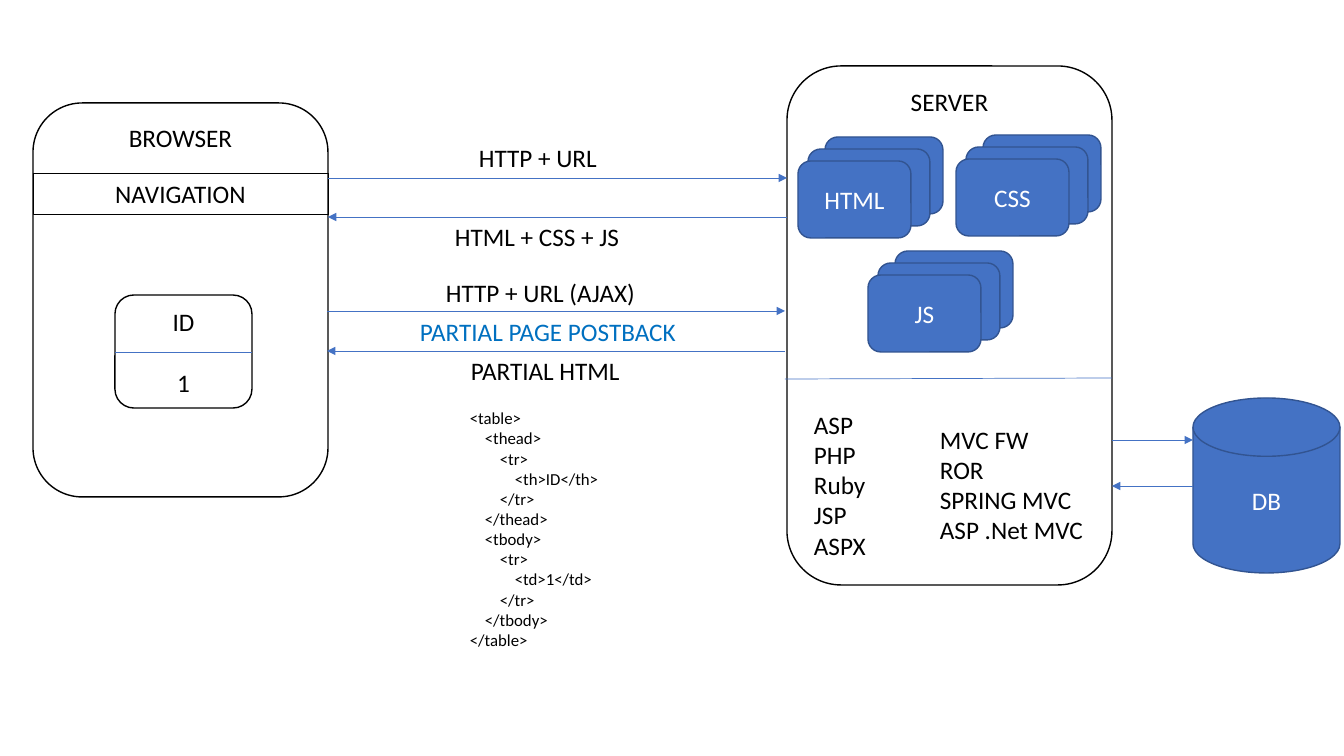
import pptx
import pptx.dml.color
import pptx.enum.shapes
import pptx.enum.text
import pptx.oxml.ns
import pptx.util
from dataclasses import dataclass
from lxml import etree

KIND = pptx.enum.shapes.MSO_SHAPE
ALIGN = pptx.enum.text.PP_ALIGN
ANCHOR = pptx.enum.text.MSO_ANCHOR


@dataclass(frozen=True)
class Theme:
    font: str = "Calibri"
    body: int = 18
    code: int = 12
    ink: str = "000000"
    paper: str = "FFFFFF"
    blue: str = "4472C4"
    edge: str = "325491"
    note: str = "0070C0"
    thick: float = 1
    thin: float = 0.5


THEME = Theme()
SCALE = 914400 / 100.8  # EMU in one px
SIZE = (1344, 756)

# Boxes are left, top, width, height
SERVER = (787, 66, 325, 519)
BROWSER = (33, 103, 295, 394)
NAV = (33, 173, 295, 41)
TABLE = (115, 295, 137, 113)
DISK = (1193, 398, 147, 175)

# Front card of each stack: name, left, top
STACKS = [("HTML", 798, 161), ("CSS", 956, 159), ("JS", 868, 275)]
# Cards from back to front: shift right, shift up, width
CARDS = [(27, 24, 118), (10, 12, 122), (0, 0, 113)]
CARD_H = 77

# Arrows: from x, to x, y
ARROWS = [
    (328, 787, 178), (787, 328, 217),
    (327, 785, 311), (785, 327, 351),
    (1112, 1193, 440), (1193, 1112, 486),
]
# Dividers: from x, from y, to x, to y
RULES = [(785, 379, 1112, 378), (115, 352, 252, 352)]

# Labels: box, lines, colour
LABELS = [
    ((469, 137, 140, 40), ["HTTP + URL"], THEME.ink),
    ((445, 216, 186, 40), ["HTML + CSS + JS"], THEME.ink),
    ((436, 272, 212, 40), ["HTTP + URL (AJAX)"], THEME.ink),
    ((461, 350, 170, 40), ["PARTIAL HTML"], THEME.ink),
    ((410, 311, 278, 40), ["PARTIAL PAGE POSTBACK"], THEME.note),
    ((804, 404, 81, 163), ["ASP", "PHP", "Ruby", "JSP", "ASPX"], THEME.ink),
    ((930, 419, 165, 132),
     ["MVC FW", "ROR", "SPRING MVC", "ASP .Net MVC"], THEME.ink),
]

CODE_BOX = (445, 403, 170, 275)
INDENT = 15
# Code: depth, text
CODE = [
    (1, "<table>"), (2, "<thead>"), (3, "<tr>"), (4, "<th>ID</th>"),
    (3, "</tr>"), (2, "</thead>"), (2, "<tbody>"), (3, "<tr>"),
    (4, "<td>1</td>"), (3, "</tr>"), (2, "</tbody>"), (1, "</table>"),
]


def emu(*nums):
    return [round(n * SCALE) for n in nums]


def rgb(code):
    return pptx.dml.color.RGBColor.from_string(code)


def write(frame, lines, color, size=THEME.body, align=ALIGN.LEFT):
    """Fill a text frame, one paragraph a line, and return the paragraphs."""
    paras = []
    for i, line in enumerate(lines):
        para = frame.add_paragraph() if i else frame.paragraphs[0]
        para.alignment = align
        run = para.add_run()
        run.text = line
        run.font.name = THEME.font
        run.font.size = pptx.util.Pt(size)
        run.font.color.rgb = rgb(color)
        paras.append(para)
    return paras


def block(shapes, kind, box, fill, edge, lines=(), color=THEME.ink,
          anchor=ANCHOR.MIDDLE, width=THEME.thick):
    """Draw a preset shape with centred text; return shape and paragraphs."""
    shape = shapes.add_shape(kind, *emu(*box))
    shape.shadow.inherit = False
    if fill:
        shape.fill.solid()
        shape.fill.fore_color.rgb = rgb(fill)
    else:
        shape.fill.background()
    shape.line.color.rgb = rgb(edge)
    shape.line.width = pptx.util.Pt(width)
    shape.text_frame.vertical_anchor = anchor
    return shape, write(shape.text_frame, lines, color, align=ALIGN.CENTER)


def label(shapes, box, wrap=False):
    frame = shapes.add_textbox(*emu(*box)).text_frame
    frame.word_wrap = wrap
    return frame


def link(shapes, ends, arrow=False):
    line = shapes.add_connector(
        pptx.enum.shapes.MSO_CONNECTOR.STRAIGHT, *emu(*ends))
    line.line.color.rgb = rgb(THEME.blue)
    line.line.width = pptx.util.Pt(THEME.thin)
    props = line._element.spPr
    if arrow:
        tip = etree.SubElement(line.line._get_or_add_ln(),
                               pptx.oxml.ns.qn("a:tailEnd"))
        tip.set("type", "triangle")
    etree.SubElement(props, pptx.oxml.ns.qn("a:effectLst"))


def stack(shapes, name, left, top):
    group = shapes.add_group_shape().shapes
    for right, up, width in CARDS:
        front = right == 0
        block(group, KIND.ROUNDED_RECTANGLE,
              (left + right, top - up, width, CARD_H),
              THEME.blue, THEME.edge, [name] if front else [], THEME.paper)


def main():
    deck = pptx.Presentation()
    deck.slide_width, deck.slide_height = emu(*SIZE)
    shapes = deck.slides.add_slide(deck.slide_layouts[6]).shapes

    for box, name in [(SERVER, "SERVER"), (BROWSER, "BROWSER")]:
        block(shapes, KIND.ROUNDED_RECTANGLE, box, THEME.paper, THEME.ink,
              [name], anchor=ANCHOR.TOP)
    block(shapes, KIND.RECTANGLE, NAV, None, THEME.ink, ["NAVIGATION"],
          width=THEME.thin)
    paras = block(shapes, KIND.ROUNDED_RECTANGLE, TABLE, THEME.paper,
                  THEME.ink, ["ID", "1"])[1]
    paras[1].space_before = pptx.util.Pt(22)
    block(shapes, KIND.FLOWCHART_MAGNETIC_DISK, DISK, THEME.blue, THEME.edge,
          ["DB"], THEME.paper)

    for item in STACKS:
        stack(shapes, *item)
    for start, end, y in ARROWS:
        link(shapes, (start, y, end, y), arrow=True)
    for ends in RULES:
        link(shapes, ends)
    for box, lines, color in LABELS:
        write(label(shapes, box), lines, color)

    frame = label(shapes, CODE_BOX, wrap=True)
    paras = write(frame, [text for _, text in CODE], THEME.ink, THEME.code)
    for para, (depth, _) in zip(paras, CODE):
        props = para._p.get_or_add_pPr()
        props.set("marL", str(emu(depth * INDENT)[0]))
        props.set("indent", "0")

    deck.save("out.pptx")


if __name__ == "__main__":
    main()
